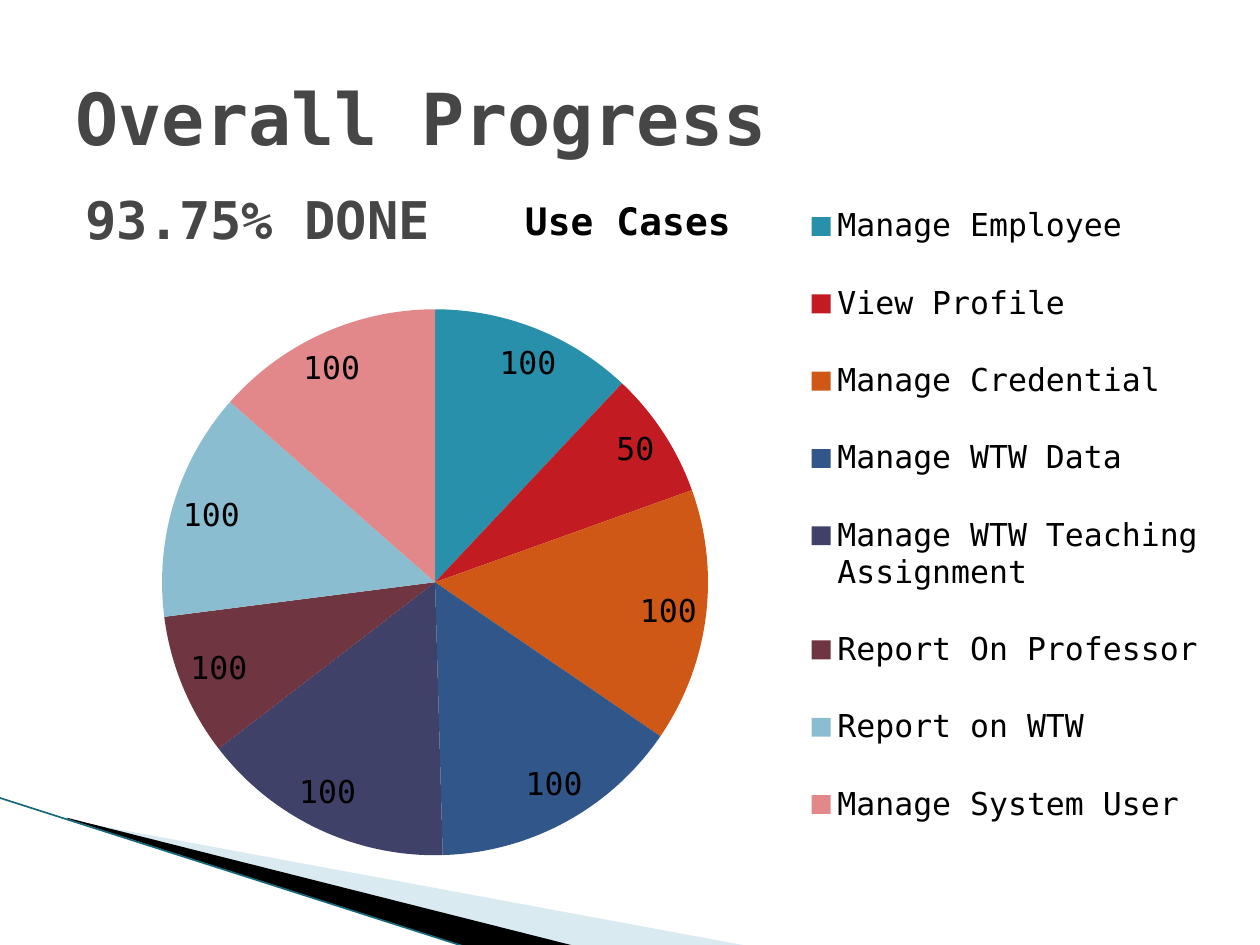
from dataclasses import dataclass

from lxml import etree
from pptx import Presentation
from pptx.chart.data import CategoryChartData
from pptx.dml.color import RGBColor
from pptx.enum.chart import XL_CHART_TYPE, XL_LABEL_POSITION, XL_LEGEND_POSITION
from pptx.enum.shapes import MSO_CONNECTOR
from pptx.enum.text import MSO_ANCHOR, PP_ALIGN
from pptx.oxml.ns import qn
from pptx.util import Inches, Pt


@dataclass(frozen=True)
class Theme:
    font: str = "DejaVu Sans Mono"
    heading: str = "464646"
    black: str = "000000"
    pale: str = "A0CBDC"
    edge: str = "16697A"
    title_size: float = 41
    status_size: float = 29.7
    chart_title_size: float = 21.6
    chart_size: float = 18


THEME = Theme()

USE_CASES = [
    ("Manage Employee", 80, "2990AC", "100"),
    ("View Profile", 50, "C21B22", None),
    ("Manage Credential", 100, "D05816", None),
    ("Manage WTW Data", 100, "31578A", None),
    ("Manage WTW Teaching Assignment", 100, "3F4169", None),
    ("Report On Professor", 56, "6F3541", "100"),
    ("Report on WTW", 90, "8BBDD0", "100"),
    ("Manage System User", 90, "E2888A", "100"),
]


def rgb(value):
    return RGBColor.from_string(value)


def style_font(font, size, color, bold=False):
    font.name = THEME.font
    font.size = Pt(size)
    font.color.rgb = rgb(color)
    font.bold = bold


def place(sp, left, top, width, height):
    sp.left, sp.top = Inches(left), Inches(top)
    sp.width, sp.height = Inches(width), Inches(height)


def add_heading(tf, text, size, anchor):
    tf.word_wrap = True
    tf.vertical_anchor = anchor
    p = tf.paragraphs[0]
    p.text = text
    p.alignment = PP_ALIGN.LEFT
    style_font(p.font, size, THEME.heading, bold=True)


def add_wedge(slide, points, color, alpha=None):
    corners = [(Inches(x), Inches(y)) for x, y in points]
    builder = slide.shapes.build_freeform(*corners[0])
    builder.add_line_segments(corners[1:], close=True)
    sp = builder.convert_to_shape()
    sp.shadow.inherit = False
    sp.line.fill.background()
    sp.fill.solid()
    sp.fill.fore_color.rgb = rgb(color)
    if alpha is not None:
        clr = next(sp.element.spPr.iter(qn("a:srgbClr")))
        etree.SubElement(clr, qn("a:alpha")).set("val", str(alpha * 1000))


def add_edge(slide, start, end):
    x1, y1, x2, y2 = (Inches(v) for v in (*start, *end))
    line = slide.shapes.add_connector(MSO_CONNECTOR.STRAIGHT, x1, y1, x2, y2)
    line.line.color.rgb = rgb(THEME.edge)
    line.line.width = Pt(0.95)
    etree.SubElement(line.element.spPr, qn("a:effectLst"))


def set_layout(parent, after=None, inner=False, **box):
    for old in parent.findall(qn("c:layout")):
        parent.remove(old)
    layout = etree.Element(qn("c:layout"))
    manual = etree.SubElement(layout, qn("c:manualLayout"))
    settings = {"layoutTarget": "inner"} if inner else {}
    settings.update(xMode="edge", yMode="edge", **box)
    for name, value in settings.items():
        etree.SubElement(manual, qn(f"c:{name}")).set("val", str(value))
    if after:
        parent.find(qn(after)).addnext(layout)
    else:
        parent.insert(0, layout)


def drop_legend_entry(legend, index):
    entry = etree.Element(qn("c:legendEntry"))
    etree.SubElement(entry, qn("c:idx")).set("val", str(index))
    etree.SubElement(entry, qn("c:delete")).set("val", "1")
    legend.find(qn("c:legendPos")).addnext(entry)


def add_progress_pie(slide):
    data = CategoryChartData()
    data.categories = [name for name, *_ in USE_CASES]
    data.add_series("Use Cases", [value for _, value, *_ in USE_CASES] + [None])
    box = (Inches(v) for v in (0.25, 1.33, 9.42, 5.58))
    chart = slide.shapes.add_chart(XL_CHART_TYPE.PIE, *box, data).chart
    style_font(chart.font, THEME.chart_size, THEME.black)

    chart.has_title = True
    title = chart.chart_title
    p = title.text_frame.paragraphs[0]
    p.text = "Use Cases"
    style_font(p.font, THEME.chart_title_size, THEME.black, bold=True)
    set_layout(title.element, after="c:tx", x=0.41, y=0.03)

    chart.has_legend = True
    legend = chart.legend
    legend.position = XL_LEGEND_POSITION.RIGHT
    legend.include_in_layout = False
    style_font(legend.font, THEME.chart_size, THEME.black)
    set_layout(legend._element, after="c:legendPos", x=0.65, y=0, w=0.34, h=0.99)
    drop_legend_entry(legend._element, len(USE_CASES))

    plot = chart.plots[0]
    plot.vary_by_categories = True
    set_layout(plot._element.getparent(), inner=True, x=0.11, y=0.2, w=0.46, h=0.78)

    series = plot.series[0]
    labels = series.data_labels
    labels.show_value = True
    labels.show_percentage = False
    labels.position = XL_LABEL_POSITION.BEST_FIT
    style_font(labels.font, THEME.chart_size, THEME.black)

    for i, (_, _, color, label) in enumerate(USE_CASES):
        point = series.points[i]
        point.format.fill.solid()
        point.format.fill.fore_color.rgb = rgb(color)
        point.format.line.fill.background()
        if label:
            r = point.data_label.text_frame.paragraphs[0].add_run()
            r.text = label
            style_font(r.font, THEME.chart_size, THEME.black)
            point.data_label.position = XL_LABEL_POSITION.BEST_FIT


def add_status(slide, text):
    sp = slide.shapes.add_textbox(Inches(0.58), Inches(1.42), Inches(3), Inches(1.25))
    sp.text_frame.margin_top = Inches(0.12)
    add_heading(sp.text_frame, text, THEME.status_size, MSO_ANCHOR.TOP)
    sp.text_frame.paragraphs[0].line_spacing = 0.9


def main():
    prs = Presentation()
    prs.slide_width, prs.slide_height = Inches(10), Inches(7.5)
    slide = prs.slides.add_slide(prs.slide_layouts[5])

    add_wedge(slide, [(0.55, 6.51), (5.95, 7.51), (4.56, 7.51), (0.55, 6.5)], THEME.pale, alpha=40)
    add_wedge(slide, [(0.53, 6.49), (4.57, 7.51), (3.72, 7.52), (0.54, 6.5)], THEME.black)
    add_edge(slide, (-0.01, 6.33), (3.71, 7.52))
    add_progress_pie(slide)

    title = slide.shapes.title
    place(title, 0.5, 0.3, 9, 1.25)
    add_heading(title.text_frame, "Overall Progress", THEME.title_size, MSO_ANCHOR.MIDDLE)
    add_status(slide, "93.75% DONE")
    prs.save("out.pptx")


if __name__ == "__main__":
    main()
